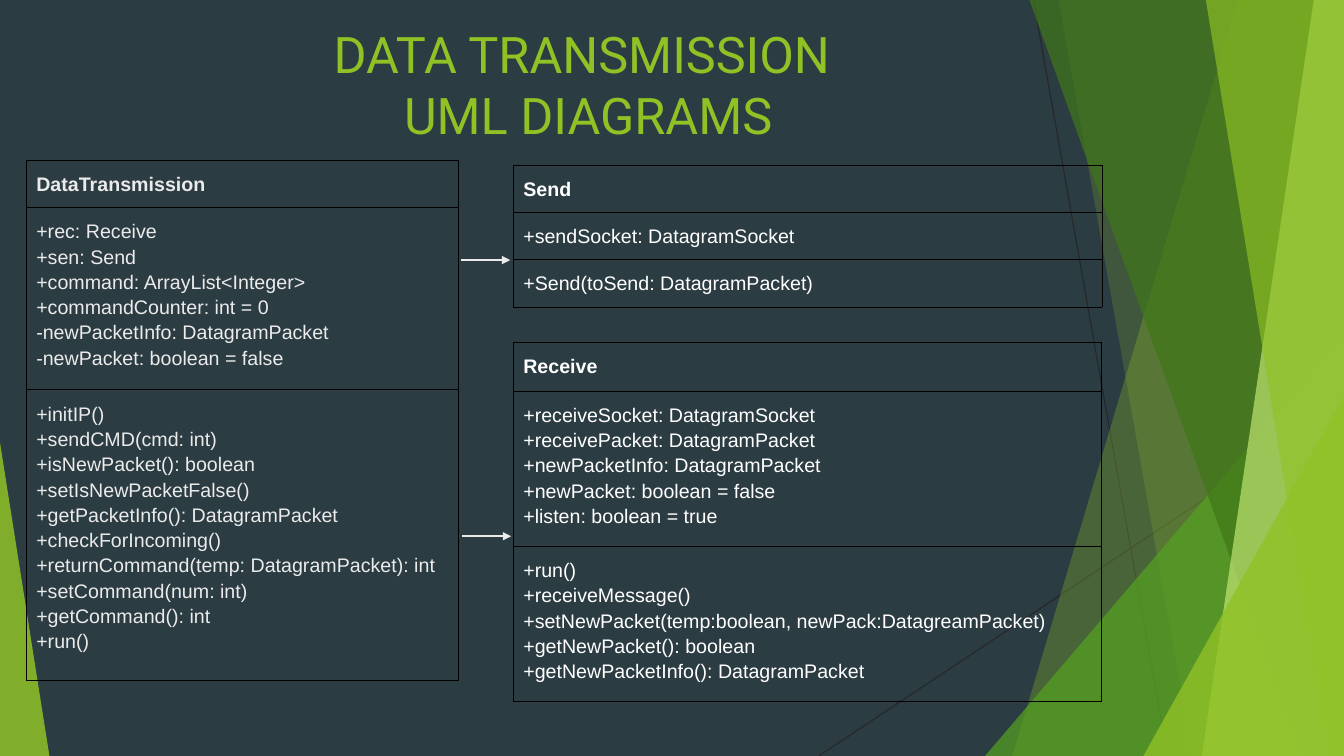
"""Build the slide of data transmission UML diagrams."""
from dataclasses import dataclass, field

from lxml.etree import SubElement
from pptx import Presentation
from pptx.dml.color import RGBColor as RGB
from pptx.enum.shapes import MSO_CONNECTOR as LINK, MSO_SHAPE as FORM
from pptx.enum.text import PP_ALIGN as ALIGN
from pptx.oxml.ns import qn
from pptx.slide import Slide
from pptx.util import Inches, Pt

WIDE, HIGH = 13.33, 7.5
PAD, STEP = 0.2, 0.25
COLORS = {
    "back": "2C3C43", "lime": "90C226", "grass": "54A021", "moss": "3F7818",
    "pale": "BFE471", "thin": "262626", "edge": "000000", "soft": "EBEBEB",
    "white": "FFFFFF",
}


@dataclass
class Deck:
    slide: Slide
    colors: dict = field(default_factory=lambda: dict(COLORS))
    head: str = "Roboto"
    body: str = "Arial"

    def tone(self, name):
        return RGB.from_string(self.colors[name])

    def ground(self, name):
        fill = self.slide.background.fill
        fill.solid()
        fill.fore_color.rgb = self.tone(name)

    def paint(self, shape, name, alpha):
        shape.shadow.inherit = False
        shape.line.fill.background()
        shape.fill.solid()
        shape.fill.fore_color.rgb = self.tone(name)
        tint = next(shape.element.spPr.iter(qn("a:srgbClr")))
        SubElement(tint, qn("a:alpha"), val=str(alpha * 1000))

    def slab(self, top, foot, name, alpha):
        pen = self.slide.shapes.build_freeform(Inches(top), 0)
        spots = [(WIDE, 0), (WIDE, HIGH), (foot, HIGH)]
        pen.add_line_segments([(Inches(x), Inches(y)) for x, y in spots])
        self.paint(pen.convert_to_shape(), name, alpha)

    def wedge(self, left, top, width, tip, name, alpha):
        shape = self.slide.shapes.add_shape(
            FORM.ISOSCELES_TRIANGLE, Inches(left), Inches(top),
            Inches(width), Inches(HIGH - top))
        shape.adjustments[0] = tip
        self.paint(shape, name, alpha)

    def line(self, start, end, name, size, arrow=False):
        link = self.slide.shapes.add_connector(
            LINK.STRAIGHT, *map(Inches, start + end))
        link.line.color.rgb = self.tone(name)
        link.line.width = Pt(size)
        props = link.element.spPr
        if arrow:
            SubElement(props.find(qn("a:ln")), qn("a:tailEnd"), type="triangle")
        SubElement(props, qn("a:effectLst"))

    def label(self, frame, lines, face, size, name, bold=False):
        frame.word_wrap = True
        for i, text in enumerate(lines):
            para = frame.add_paragraph() if i else frame.paragraphs[0]
            para.text = text
            font = para.font
            font.name, font.size, font.bold = face, Pt(size), bold
            font.color.rgb = self.tone(name)

    def title(self, lines):
        box = self.slide.shapes.add_textbox(
            0, Inches(0.13), Inches(11.67), Inches(0.87))
        frame = box.text_frame
        frame.margin_top = frame.margin_bottom = Inches(0.1)
        self.label(frame, lines, self.head, 36, "lime")
        for para in frame.paragraphs:
            para.alignment = ALIGN.CENTER

    def border(self, cell):
        props = cell._tc.get_or_add_tcPr()
        for i, side in enumerate("LRTB"):
            edge = SubElement(props, qn(f"a:ln{side}"), w=str(Pt(0.75)))
            fill = SubElement(edge, qn("a:solidFill"))
            SubElement(fill, qn("a:srgbClr"), val=self.colors["edge"])
            props.insert(i, edge)

    def uml(self, left, top, width, name, blocks, first=PAD + STEP):
        highs = [first] + [PAD + STEP * len(lines) for lines in blocks[1:]]
        grid = self.slide.shapes.add_table(
            len(blocks), 1, Inches(left), Inches(top),
            Inches(width), Inches(sum(highs))).table
        grid.first_row = grid.horz_banding = False
        for i, (lines, high) in enumerate(zip(blocks, highs)):
            grid.rows[i].height = Inches(high)
            cell = grid.cell(i, 0)
            cell.margin_left = cell.margin_right = Inches(0.1)
            cell.margin_top = cell.margin_bottom = Inches(0.1)
            cell.fill.background()
            self.border(cell)
            self.label(cell.text_frame, lines, self.body, 14, name, i == 0)
            for para in cell.text_frame.paragraphs:
                para.line_spacing = 1.15


def main():
    show = Presentation()
    show.slide_width, show.slide_height = Inches(WIDE), Inches(HIGH)
    deck = Deck(show.slides.add_slide(show.slide_layouts[6]))
    deck.ground("back")

    deck.line((10.25, 0), (11.58, HIGH), "thin", 0.75)
    deck.line((WIDE, 4.03), (8.12, HIGH), "thin", 0.75)
    deck.slab(12.28, 10.04, "lime", 30)
    deck.slab(10.5, 11.83, "lime", 20)
    deck.wedge(9.77, 3.33, 3.56, 1, "grass", 72)
    deck.slab(10.21, 12.91, "moss", 70)
    deck.slab(13.03, 11.92, "pale", 70)
    deck.slab(11.96, 13.18, "lime", 65)
    deck.wedge(11.34, 3.93, 1.99, 1, "lime", 80)
    deck.wedge(0, 4.39, 0.49, 0, "lime", 85)

    deck.title(["DATA TRANSMISSION ", "UML DIAGRAMS"])
    deck.uml(0.26, 1.59, 4.29, "soft", [
        ["DataTransmission"],
        ["+rec: Receive", "+sen: Send", "+command: ArrayList<Integer>",
         "+commandCounter: int = 0", "-newPacketInfo: DatagramPacket",
         "-newPacket: boolean = false"],
        ["+initIP()", "+sendCMD(cmd: int)", "+isNewPacket(): boolean",
         "+setIsNewPacketFalse()", "+getPacketInfo(): DatagramPacket",
         "+checkForIncoming()", "+returnCommand(temp: DatagramPacket): int",
         "+setCommand(num: int)", "+getCommand(): int", "+run()"],
    ])
    deck.uml(5.09, 1.64, 5.84, "white", [
        ["Send"],
        ["+sendSocket: DatagramSocket"],
        ["+Send(toSend: DatagramPacket)"],
    ])
    deck.uml(5.09, 3.4, 5.83, "white", [
        ["Receive"],
        ["+receiveSocket: DatagramSocket", "+receivePacket: DatagramPacket",
         "+newPacketInfo: DatagramPacket", "+newPacket: boolean = false",
         "+listen: boolean = true"],
        ["+run()", "+receiveMessage()",
         "+setNewPacket(temp:boolean, newPack:DatagreamPacket)",
         "+getNewPacket(): boolean", "+getNewPacketInfo(): DatagramPacket"],
    ], first=0.48)
    for x, y in [(4.57, 2.58), (4.58, 5.32)]:
        deck.line((x, y), (x + 0.49, y), "soft", 1.5, arrow=True)
    show.save("out.pptx")


if __name__ == "__main__":
    main()
